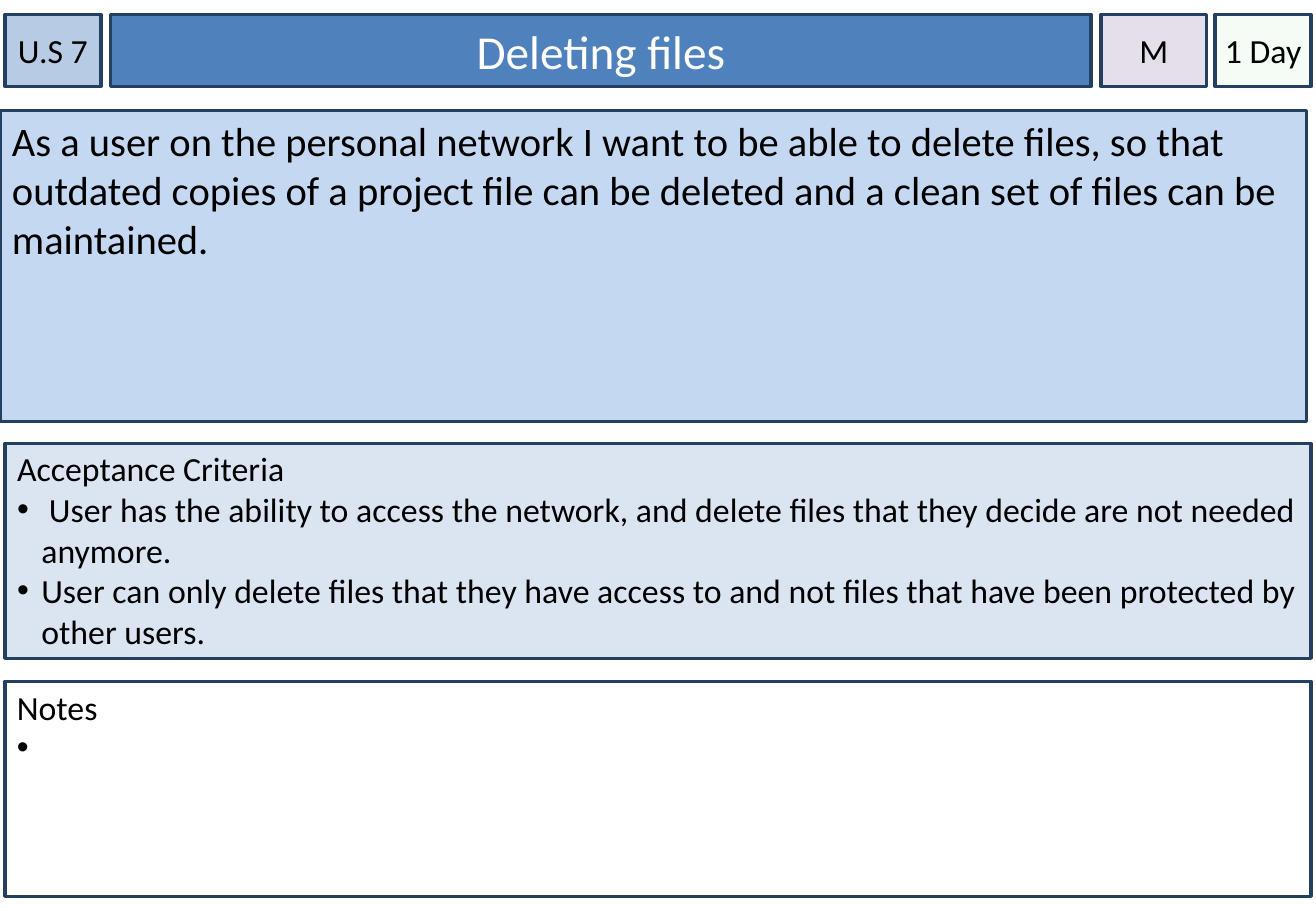
from lxml import etree
from pptx import Presentation
from pptx.dml.color import RGBColor
from pptx.enum.shapes import MSO_SHAPE
from pptx.enum.text import MSO_ANCHOR, MSO_AUTO_SIZE, PP_ALIGN
from pptx.oxml.ns import qn
from pptx.util import Inches, Pt

RECT = MSO_SHAPE.RECTANGLE
TOP, MIDDLE = MSO_ANCHOR.TOP, MSO_ANCHOR.MIDDLE
LEFT, CENTER = PP_ALIGN.LEFT, PP_ALIGN.CENTER
FIXED = MSO_AUTO_SIZE.NONE

THEME = {
    "font": "Calibri", "edge": "244061", "ink": "000000", "light": "FFFFFF",
    "code": "B7CCE4", "title": "4F81BD", "rank": "E5DFEC", "time": "CCF0CD",
    "story": "C5D8F1", "tests": "DAE5F1", "notes": "FFFFFF",
    "small": 20, "story size": 24, "title size": 28,
}

# Grid: header columns (left, width) and rows (top, height), in inches
EDGE, WIDE = 0.04, 10.75
COLS = {"code": (EDGE, 0.79), "title": (0.91, 8.07),
        "rank": (9.06, 0.87), "time": (10, 0.79)}
ROWS = {"head": (0.12, 0.59), "story": (0.91, 2.56),
        "tests": (3.65, 1.77), "notes": (5.61, 1.77)}


def dress(box, name, col, row, size="small", ink="ink", align=LEFT, side=0.1):
    """Place a card and give it its fill, border and text frame."""
    (left, width), (top, height) = col, ROWS[row]
    box.left, box.top = Inches(left), Inches(top)
    box.width, box.height = Inches(width), Inches(height)
    box.shadow.inherit = False
    box.fill.solid()
    box.fill.fore_color.rgb = RGBColor.from_string(THEME[name])
    box.line.color.rgb = RGBColor.from_string(THEME["edge"])
    box.line.width = Pt(2)
    frame = box.text_frame
    frame.word_wrap = True
    frame.auto_size = FIXED
    frame.vertical_anchor = MIDDLE if row == "head" else TOP
    frame.margin_left = frame.margin_right = Inches(side)
    frame.margin_top = Inches(0.04 if row in ("tests", "notes") else 0.05)
    frame.margin_bottom = Inches(0.05)
    frame.text = TEXT[name]
    for i, para in enumerate(frame.paragraphs):
        para.alignment = align
        para.space_before = Pt(0)
        mark(para, i > 0)
        for run in para.runs:
            run.font.name = THEME["font"]
            run.font.size = Pt(THEME[size])
            run.font.color.rgb = RGBColor.from_string(THEME[ink])


def mark(para, bullet):
    """Turn the bullet and hanging indent of a paragraph on or off."""
    props = para._p.get_or_add_pPr()
    hang = Inches(0.2) if bullet else 0
    props.set("marL", str(hang))
    props.set("indent", str(-hang))
    if bullet:
        color = etree.SubElement(props, qn("a:buClr"))
        etree.SubElement(color, qn("a:srgbClr"), val=THEME["ink"])
        etree.SubElement(props, qn("a:buFont"), typeface="Arial")
        etree.SubElement(props, qn("a:buChar"), char="•")
    else:
        etree.SubElement(props, qn("a:buNone"))


TEXT = {
    "code": "U.S 7",
    "title": "Deleting files",
    "rank": "M",
    "time": "1 Day",
    "story": "As a user on the personal network I want to be able to delete "
             "files, so that outdated copies of a project file can be deleted "
             "and a clean set of files can be maintained.",
    "tests": "Acceptance Criteria\n"
             " User has the ability to access the network, and delete files "
             "that they decide are not needed anymore.\n"
             "User can only delete files that they have access to and not "
             "files that have been protected by other users.",
    "notes": "Notes\n ",
}

deck = Presentation()
deck.slide_width, deck.slide_height = Inches(10.83), Inches(7.5)
slide = deck.slides.add_slide(deck.slide_layouts[1])
shapes = slide.shapes

# Header: title and its three tags
dress(shapes.title, "title", COLS["title"], "head", "title size", "light", CENTER)
for name in ("code", "rank", "time"):
    tag = shapes.add_shape(RECT, 0, 0, 0, 0)
    dress(tag, name, COLS[name], "head", align=CENTER, side=0)

# The time tag, added last, is mostly see-through
tint = tag._element.spPr.find(qn("a:solidFill"))[0]
etree.SubElement(tint, qn("a:alpha"), val="20000")

# User story
story = shapes.add_shape(RECT, 0, 0, 0, 0)
dress(story, "story", (0, WIDE), "story", "story size")

# Acceptance criteria and notes
dress(slide.placeholders[1], "tests", (EDGE, WIDE), "tests")
notes = shapes.add_shape(RECT, 0, 0, 0, 0)
dress(notes, "notes", (EDGE, WIDE), "notes")

deck.save("out.pptx")
